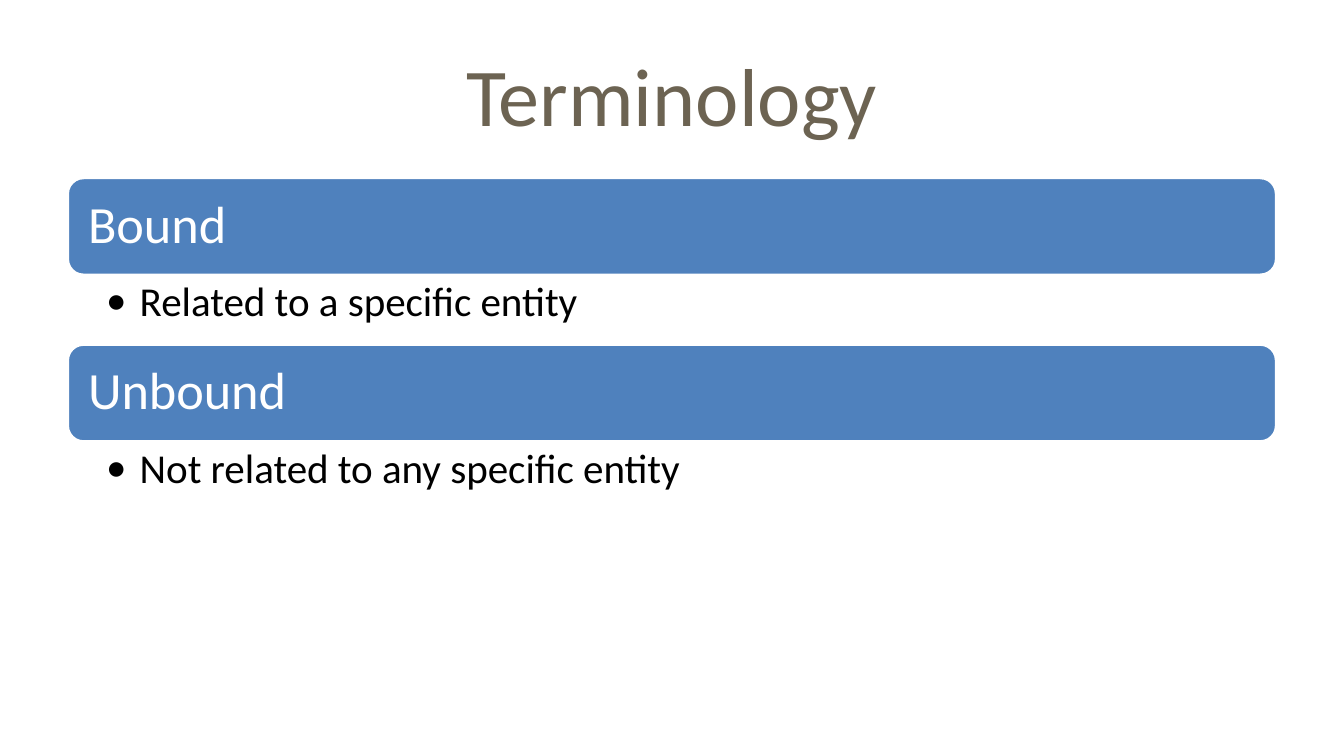
"""Build the Terminology slide: two headed bars, each with a bulleted definition."""
from lxml import etree
from pptx import Presentation, util as u
from pptx.dml.color import RGBColor
from pptx.enum import shapes, text
from pptx.oxml.ns import qn

THEME = {
    "font": "Calibri",
    "title": {"size": 44, "color": "6C6352"},
    "heading": {"size": 28, "color": "FFFFFF"},
    "definition": {"size": 22, "color": "000000"},
    "bar": "4F81BD",
    "bar_line": "FFFFFF",
}
FRAMES = {
    "title": {"vertical_anchor": text.MSO_ANCHOR.MIDDLE},
    "heading": {"vertical_anchor": text.MSO_ANCHOR.MIDDLE}
    | {f"margin_{side}": u.Inches(0.12) for side in ("left", "top", "right", "bottom")},
    "definition": {
        "vertical_anchor": text.MSO_ANCHOR.TOP,
        "margin_left": u.Inches(0.29), "margin_right": u.Inches(0.22),
        "margin_top": u.Inches(0.04), "margin_bottom": u.Inches(0.04),
    },
}
PARAGRAPHS = {
    "title": {"alignment": text.PP_ALIGN.CENTER},
    "heading": {"alignment": text.PP_ALIGN.LEFT, "line_spacing": 0.9},
    "definition": {"alignment": text.PP_ALIGN.LEFT, "line_spacing": 0.9, "level": 1},
}
TERMS = {
    "Bound": "Related to a specific entity",
    "Unbound": "Not related to any specific entity",
}
LEFT, WIDTH = u.Inches(0.5), u.Inches(9)
TOP, BAR_HEIGHT, PITCH = u.Inches(1.32), u.Inches(0.73), u.Inches(1.24)


def write(holder, wording, role):
    frame = holder.text_frame
    frame.word_wrap = True
    for name, value in FRAMES[role].items():
        setattr(frame, name, value)
    paragraph = frame.paragraphs[0]
    paragraph.text = wording
    for name, value in PARAGRAPHS[role].items():
        setattr(paragraph, name, value)
    font = paragraph.runs[0].font
    font.name = THEME["font"]
    font.size = u.Pt(THEME[role]["size"])
    font.color.rgb = RGBColor.from_string(THEME[role]["color"])
    return paragraph


deck = Presentation()
deck.slide_width = u.Inches(10)
deck.slide_height = deck.slide_width * 9 // 16
slide = deck.slides.add_slide(deck.slide_layouts[6])

title = slide.shapes.add_textbox(LEFT, u.Inches(0.23), WIDTH, u.Inches(0.94))
write(title, "Terminology", "title")

for row, (term, meaning) in enumerate(TERMS.items()):
    top = TOP + row * PITCH
    bar = slide.shapes.add_shape(
        shapes.MSO_SHAPE.ROUNDED_RECTANGLE, LEFT, top, WIDTH, BAR_HEIGHT)
    bar.shadow.inherit = False
    bar.fill.solid()
    bar.fill.fore_color.rgb = RGBColor.from_string(THEME["bar"])
    bar.line.color.rgb = RGBColor.from_string(THEME["bar_line"])
    bar.line.width = u.Pt(2)
    write(bar, term, "heading")

    definition = slide.shapes.add_textbox(LEFT, top + BAR_HEIGHT, WIDTH, u.Inches(0.51))
    properties = write(definition, meaning, "definition")._p.get_or_add_pPr()
    properties.set("marL", str(u.Inches(0.25)))
    properties.set("indent", str(-u.Inches(0.25)))
    etree.SubElement(properties, qn("a:buFont"), typeface=THEME["font"])
    etree.SubElement(properties, qn("a:buChar"), char="•")

deck.save("out.pptx")
